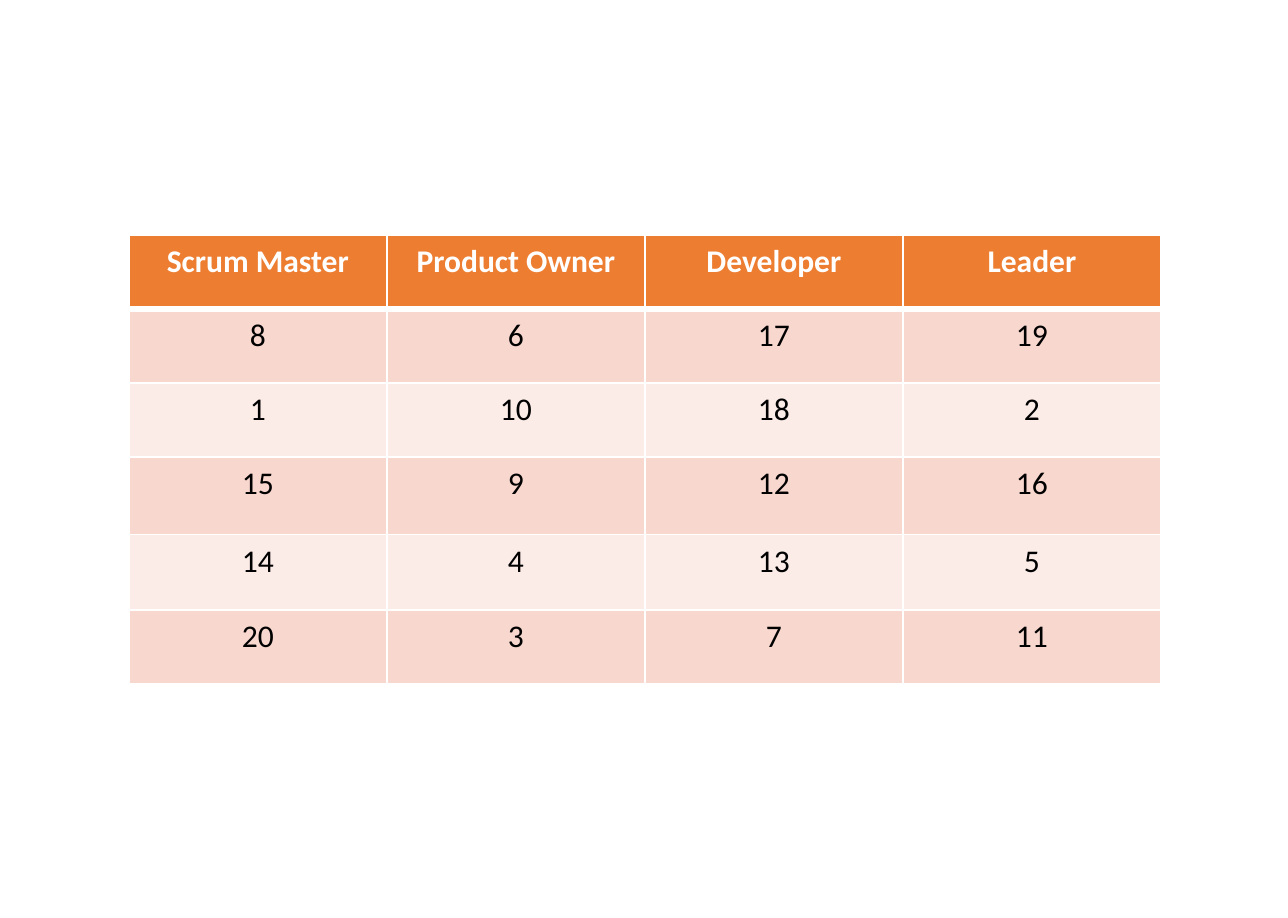
from pptx import Presentation
from pptx.dml.color import RGBColor
from pptx.enum.text import PP_ALIGN as Align
from pptx.oxml import parse_xml
from pptx.oxml.ns import nsdecls
from pptx.util import Cm, Pt

HEADERS = ["Scrum Master", "Product Owner", "Developer", "Leader"]
NUMBERS = [
    [8, 6, 17, 19],
    [1, 10, 18, 2],
    [15, 9, 12, 16],
    [14, 4, 13, 5],
    [20, 3, 7, 11],
]
ROW_HEIGHTS = [1.24, 1.24, 1.24, 1.3, 1.26, 1.24]
HEADER_FILL, BANDS = "ED7D31", ("F8D7CE", "FCECE8")


def rgb(value):
    """Turn a hex string into a colour."""
    return RGBColor.from_string(value)


def write(tf, text, size=15, color="000000", bold=False, align=Align.CENTER):
    """Put one formatted paragraph into a text frame."""
    p = tf.paragraphs[0]
    p.alignment = align
    r = p.add_run()
    r.text = text
    r.font.name = "Calibri"
    r.font.size = Pt(size)
    r.font.bold = bold
    r.font.color.rgb = rgb(color)


def set_borders(cell, color="FFFFFF", **widths):
    """Draw the four sides of a cell, 1 pt unless a side is given."""
    tc_pr = cell._tc.get_or_add_tcPr()
    for side in "LRTB":
        tc_pr.append(parse_xml(
            f'<a:ln{side} {nsdecls("a")} w="{Pt(widths.get(side, 1))}">'
            f'<a:solidFill><a:srgbClr val="{color}"/></a:solidFill></a:ln{side}>'))


def add_role_table(slide, left, top, width):
    """Place the table of numbers by role in the given box."""
    rows = [HEADERS] + NUMBERS
    frame = slide.shapes.add_table(len(rows), len(HEADERS), left, top,
                                   width, Cm(sum(ROW_HEIGHTS)))
    table = frame.table
    for column in table.columns:
        column.width = width // len(HEADERS)
    for i, (values, height) in enumerate(zip(rows, ROW_HEIGHTS)):
        table.rows[i].height = Cm(height)
        header = i == 0
        widths = {0: {"B": 3}, 1: {"T": 3}}.get(i, {})
        for j, value in enumerate(values):
            cell = table.cell(i, j)
            set_borders(cell, **widths)
            cell.fill.solid()
            cell.fill.fore_color.rgb = rgb(HEADER_FILL if header else BANDS[(i - 1) % 2])
            write(cell.text_frame, str(value), bold=header,
                  color="FFFFFF" if header else "000000")


def main():
    """Build and save the slide."""
    prs = Presentation()
    prs.slide_width, prs.slide_height = Cm(21.59), Cm(15.39)
    slide = prs.slides.add_slide(prs.slide_layouts[6])
    add_role_table(slide, Cm(2.16), Cm(3.94), Cm(17.3))
    prs.save("out.pptx")


if __name__ == "__main__":
    main()
